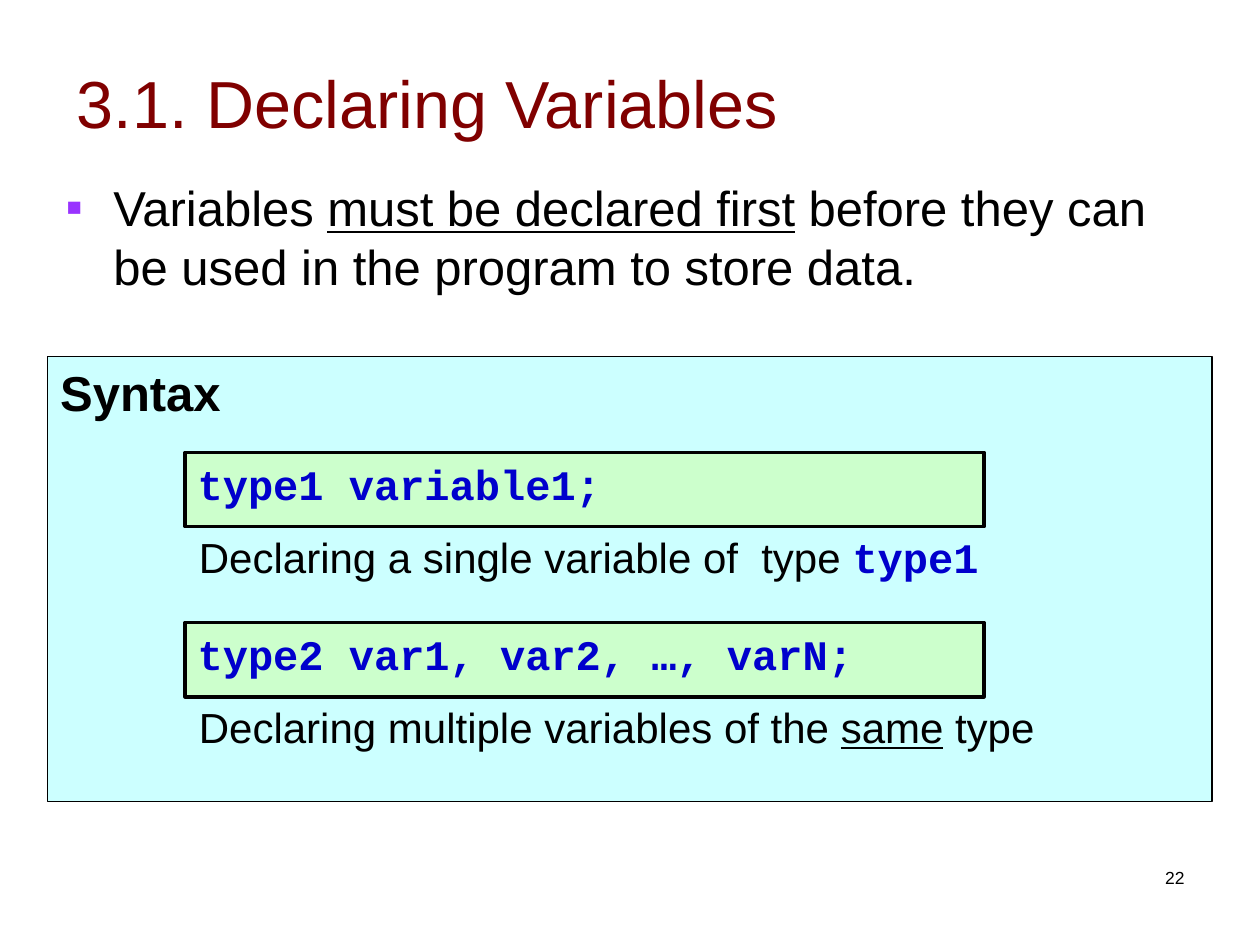
from lxml.etree import SubElement
from pptx import Presentation
from pptx.dml.color import RGBColor
from pptx.enum.shapes import MSO_SHAPE
from pptx.enum.text import MSO_ANCHOR, MSO_AUTO_SIZE, PP_ALIGN
from pptx.oxml.ns import qn
from pptx.util import Inches, Pt

THEME = {
    "panel": "CCFFFF", "code_box": "CCFFCC", "line": "000000", "bullet": "9933FF",
    # style: font, size, colour, bold, underline
    "title": ("Arial", 38, "800000", False, False),
    "body": ("Arial", 28, "000000", False, False),
    "body_underlined": ("Arial", 28, "000000", False, True),
    "heading": ("Arial", 28, "000000", True, False),
    "note": ("Arial", 24, "000000", False, False),
    "note_underlined": ("Arial", 24, "000000", False, True),
    "code": ("Courier New", 24, "0000CC", True, False),
    "number": ("Arial", 10, "000000", False, False),
}

TITLE = [("3.1. Declaring Variables", "title")]
BODY = [
    ("Variables ", "body"),
    ("must be declared first", "body_underlined"),
    (" before they can be used in the program to store data.", "body"),
]
HEADING = [("Syntax", "heading")]
DECLARATIONS = [
    ("type1 variable1;", 6.39,
     [("Declaring a single variable of  type ", "note"), ("type1", "code")]),
    ("type2 var1, var2, …, varN;", 6.83,
     [("Declaring multiple variables of the ", "note"),
      ("same", "note_underlined"), (" type", "note")]),
]
PAGE_NUMBER = [("22", "number")]

FIRST_TOP, PITCH, CODE_HEIGHT = 3.59, 1.35, 0.59


def place(shape, left, top, width, height):
    shape.left, shape.top = Inches(left), Inches(top)
    shape.width, shape.height = Inches(width), Inches(height)


def write(shape, runs, anchor=MSO_ANCHOR.TOP, align=PP_ALIGN.LEFT, wrap=True):
    frame = shape.text_frame
    frame.auto_size = MSO_AUTO_SIZE.NONE if wrap else MSO_AUTO_SIZE.SHAPE_TO_FIT_TEXT
    frame.word_wrap = wrap
    frame.vertical_anchor = anchor
    para = frame.paragraphs[0]
    para.alignment = align
    for text, style in runs:
        span = para.add_run()
        span.text = text
        font = span.font
        font.name, size, colour, font.bold, font.underline = THEME[style]
        font.size = Pt(size)
        font.color.rgb = RGBColor.from_string(colour)
    return para


def add_box(page, bounds, fill, line_width, runs):
    box = page.shapes.add_shape(MSO_SHAPE.RECTANGLE, *map(Inches, bounds))
    box.shadow.inherit = False
    box.fill.solid()
    box.fill.fore_color.rgb = RGBColor.from_string(THEME[fill])
    box.line.color.rgb = RGBColor.from_string(THEME["line"])
    box.line.width = Pt(line_width)
    write(box, runs)


def add_label(page, bounds, runs, **options):
    label = page.shapes.add_textbox(*map(Inches, bounds))
    write(label, runs, **options)


def add_bullet(para, indent):
    properties = para._p.get_or_add_pPr()
    properties.set("marL", str(Inches(indent)))
    properties.set("indent", str(-Inches(indent)))
    colour = SubElement(properties, qn("a:buClr"))
    SubElement(colour, qn("a:srgbClr"), val=THEME["bullet"])
    SubElement(properties, qn("a:buFont"), typeface="Arial")
    SubElement(properties, qn("a:buChar"), char="▪")


def main():
    deck = Presentation()
    deck.slide_width, deck.slide_height = Inches(10), Inches(7.5)
    page = deck.slides.add_slide(deck.slide_layouts[1])

    title, body = page.shapes.title, page.placeholders[1]
    place(title, 0.51, 0.18, 9, 1.25)
    write(title, TITLE, anchor=MSO_ANCHOR.MIDDLE)
    place(body, 0.42, 1.36, 9.11, 1.05)
    para = write(body, BODY)
    para.space_before = Pt(7)
    add_bullet(para, 0.38)

    add_box(page, (0.38, 2.83, 9.24, 3.53), "panel", 0.75, HEADING)
    for index, (code, note_width, note) in enumerate(DECLARATIONS):
        top = FIRST_TOP + index * PITCH
        add_box(page, (1.47, top, 6.34, CODE_HEIGHT), "code_box", 2, [(code, "code")])
        add_label(page, (1.48, top + CODE_HEIGHT - 0.01, note_width, 0.5), note, wrap=False)

    add_label(page, (7.17, 6.83, 2.33, 0.5), PAGE_NUMBER, align=PP_ALIGN.RIGHT)
    deck.save("out.pptx")


if __name__ == "__main__":
    main()
